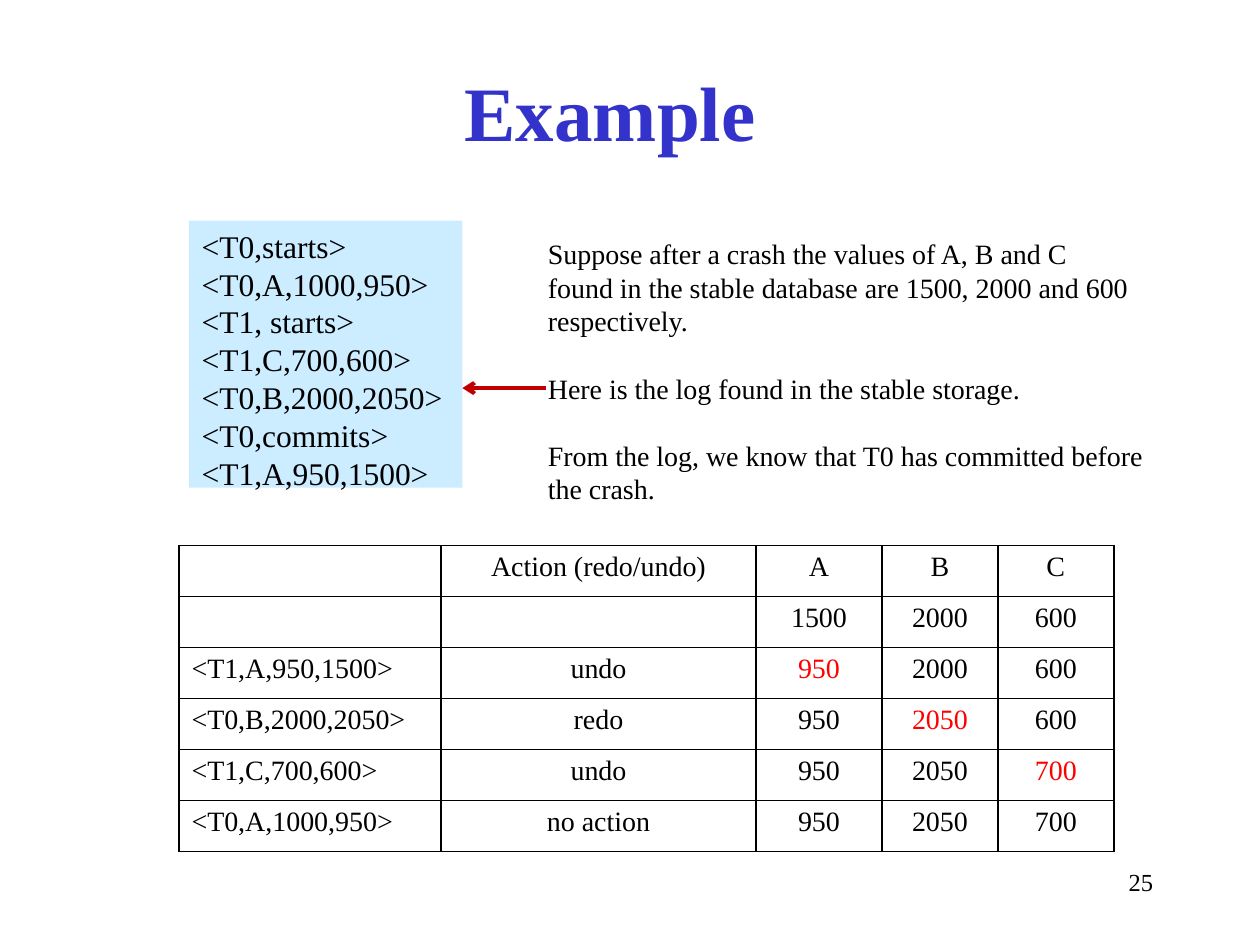
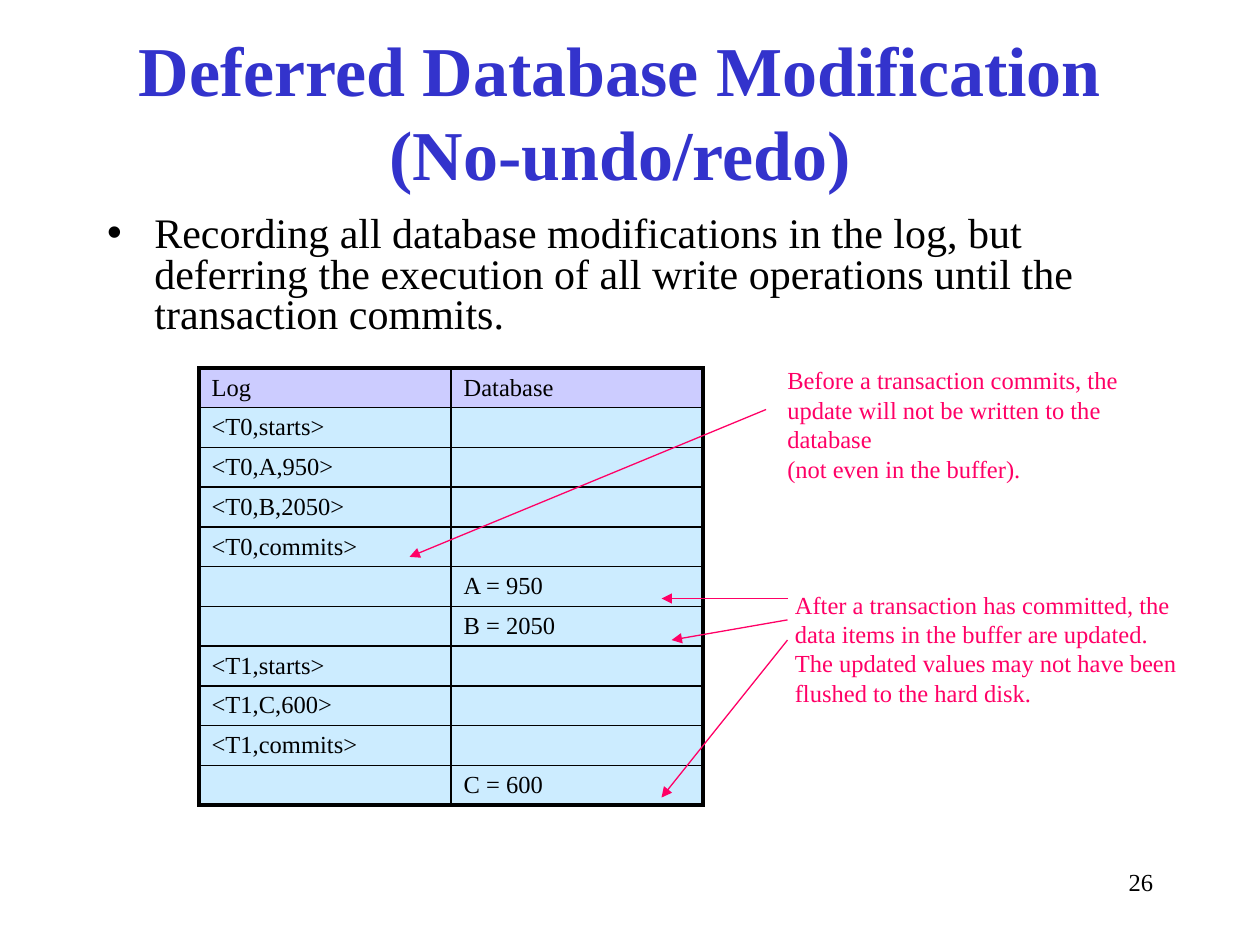
"""Build two slides on database log recovery."""
from lxml.etree import SubElement
from pptx import Presentation
from pptx.dml.color import RGBColor
from pptx.enum.shapes import MSO_CONNECTOR
from pptx.enum.text import MSO_ANCHOR, MSO_AUTO_SIZE, PP_ALIGN
from pptx.oxml.ns import qn
from pptx.util import Inches, Pt

FONT = "Times New Roman"
BLACK = RGBColor(0x00, 0x00, 0x00)
BLUE = RGBColor(0x33, 0x33, 0xCC)
SKY = RGBColor(0xCC, 0xEC, 0xFF)
LILAC = RGBColor(0xCC, 0xCC, 0xFF)
RED = RGBColor(0xFF, 0x00, 0x00)
BRICK = RGBColor(0xC0, 0x00, 0x00)
PINK = RGBColor(0xFF, 0x00, 0x66)
LEFT, MID, RIGHT = PP_ALIGN.LEFT, PP_ALIGN.CENTER, PP_ALIGN.RIGHT


def write(frame, lines, size, color=BLACK, align=LEFT, bold=False):
    """Fill a text frame with one paragraph per line."""
    frame.text = "\n".join(lines)
    frame.word_wrap = True
    for para in frame.paragraphs:
        para.alignment = align
        para.font.name = FONT
        para.font.size = Pt(size)
        para.font.bold = bold
        para.font.color.rgb = color
        if not para.runs:
            para._p.get_or_add_endParaRPr().set("sz", str(size * 100))


def grid(slide, rows, left, top, widths, height, rim):
    """Add a plain table with ruled cells and a rim of the given width."""
    last, end = len(rows) - 1, len(widths) - 1
    table = slide.shapes.add_table(
        len(rows), len(widths), Inches(left), Inches(top),
        Inches(sum(widths)), Inches(height)).table
    table.first_row = table.horz_banding = False
    for col, width in zip(table.columns, widths):
        col.width = Inches(width)
    for y, row in enumerate(table.rows):
        row.height = Inches(height / len(rows))
        for x, cell in enumerate(row.cells):
            outer = {"lnL": x == 0, "lnR": x == end, "lnT": y == 0, "lnB": y == last}
            for tag, edge in outer.items():
                line = SubElement(cell._tc.get_or_add_tcPr(), qn(f"a:{tag}"),
                                  w=str(Pt(rim if edge else 1)))
                fill = SubElement(line, qn("a:solidFill"))
                SubElement(fill, qn("a:srgbClr"), val=str(BLACK))
    return table


deck = Presentation()
deck.slide_width, deck.slide_height = Inches(10), Inches(7.5)

pages = []
for title, size, number in (
    ("Example ", 44, "25"),
    ("Deferred Database Modification (No-undo/redo)", 40, "26"),
):
    slide = deck.slides.add_slide(deck.slide_layouts[1])
    head = slide.shapes.title
    head.left, head.top = Inches(0.67), Inches(0.25)
    head.width, head.height = Inches(8.5), Inches(1.25)
    write(head.text_frame, [title], size, BLUE, MID, True)
    head.text_frame.auto_size = MSO_AUTO_SIZE.NONE
    foot = slide.shapes.add_textbox(Inches(7.17), Inches(6.83), Inches(2.08), Inches(0.5))
    write(foot.text_frame, [number], 14, align=RIGHT)
    pages.append(slide)
first, second = pages

log = first.placeholders[1]
log.left, log.top, log.width, log.height = Inches(1.5), Inches(1.75), Inches(2.17), Inches(2.12)
log.fill.solid()
log.fill.fore_color.rgb = SKY
write(log.text_frame, [
    "<T0,starts>", "<T0,A,1000,950>", "<T1, starts>", "<T1,C,700,600>",
    "<T0,B,2000,2050>", "<T0,commits>", "<T1,A,950,1500>"], 18)
log.text_frame.auto_size = MSO_AUTO_SIZE.NONE
for para in log.text_frame.paragraphs:
    para.space_before = Pt(0)
    props = para._p.get_or_add_pPr()
    props.set("marL", "0")
    props.set("indent", "0")
    none = props.makeelement(qn("a:buNone"), {})
    props.find(qn("a:defRPr")).addprevious(none)

story = first.shapes.add_textbox(Inches(4.25), Inches(1.83), Inches(4.99), Inches(2.26))
write(story.text_frame, [
    "Suppose after a crash the values of A, B and C",
    "found in the stable database are 1500, 2000 and 600",
    "respectively.",
    "Here is the log found in the stable storage.",
    "From the log, we know that T0 has committed before",
    "the crash."], 16)
for spot in (3, 4):
    story.text_frame.paragraphs[spot].space_before = Pt(19.2)

steps = [
    ("", "Action (redo/undo)", "A", "B", "C"),
    ("", "", "1500", "2000", "600"),
    ("<T1,A,950,1500>", "undo", "950", "2000", "600"),
    ("<T0,B,2000,2050>", "redo", "950", "2050", "600"),
    ("<T1,C,700,600>", "undo", "950", "2050", "700"),
    ("<T0,A,1000,950>", "no action", "950", "2050", "700"),
]
changed = {(2, 2), (3, 3), (4, 4)}
table = grid(first, steps, 1.42, 4.33, (2.08, 2.5, 1, 0.92, 0.92), 2.43, 1)
for y, row in enumerate(steps):
    for x, text in enumerate(row):
        cell = table.cell(y, x)
        cell.fill.background()
        write(cell.text_frame, [text], 16, RED if (y, x) in changed else BLACK,
              MID if x else LEFT)

body = second.placeholders[1]
body.left, body.top, body.width, body.height = Inches(0.75), Inches(1.67), Inches(8.5), Inches(1.17)
write(body.text_frame, [
    "Recording all database modifications in the log, but deferring the execution "
    "of all write operations until the transaction commits."], 24)
body.text_frame.auto_size = MSO_AUTO_SIZE.NONE
body.text_frame.paragraphs[0].line_spacing = 0.8

trace = [
    ("Log", "Database"), ("<T0,starts>", ""), ("<T0,A,950>", ""),
    ("<T0,B,2050>", ""), ("<T0,commits>", ""), ("", "A = 950"),
    ("", "B = 2050"), ("<T1,starts>", ""), ("<T1,C,600>", ""),
    ("<T1,commits>", ""), ("", "C = 600"),
]
table = grid(second, trace, 1.58, 2.92, (2, 2), 3.47, 2.25)
for y, row in enumerate(trace):
    for x, text in enumerate(row):
        cell = table.cell(y, x)
        cell.fill.solid()
        cell.fill.fore_color.rgb = SKY if y else LILAC
        cell.margin_top = cell.margin_bottom = Inches(0.03)
        cell.vertical_anchor = MSO_ANCHOR.MIDDLE
        write(cell.text_frame, [text], 14)

for left, top, width, height, lines in (
    (6.15, 2.85, 3.1, 1.04, [
        "Before a transaction commits, the",
        "update will not be written to the database",
        "(not even in the buffer)."]),
    (6.21, 4.63, 3.31, 1.04, [
        "After a transaction has committed, the",
        "data items in the buffer are updated.",
        "The updated values may not have been",
        "flushed to the hard disk."]),
):
    note = second.shapes.add_textbox(Inches(left), Inches(top), Inches(width), Inches(height))
    write(note.text_frame, lines, 14, PINK)

for slide, ends, color, width, tip in (
    (first, (4.33, 3.08, 3.67, 3.08), BRICK, 2.25, "arrow"),
    (second, (6.25, 4.75, 5.25, 4.75), PINK, 0.75, "triangle"),
    (second, (6.25, 4.92, 5.33, 5.08), PINK, 0.75, "triangle"),
    (second, (6.25, 5.08, 5.25, 6.33), PINK, 0.75, "triangle"),
    (second, (6.08, 3.25, 3.25, 4.42), PINK, 0.75, "triangle"),
):
    arrow = slide.shapes.add_connector(MSO_CONNECTOR.STRAIGHT, *map(Inches, ends))
    arrow.line.color.rgb = color
    arrow.line.width = Pt(width)
    SubElement(arrow.line._get_or_add_ln(), qn("a:tailEnd"), type=tip)
    SubElement(arrow._element.spPr, qn("a:effectLst"))

deck.save("out.pptx")
